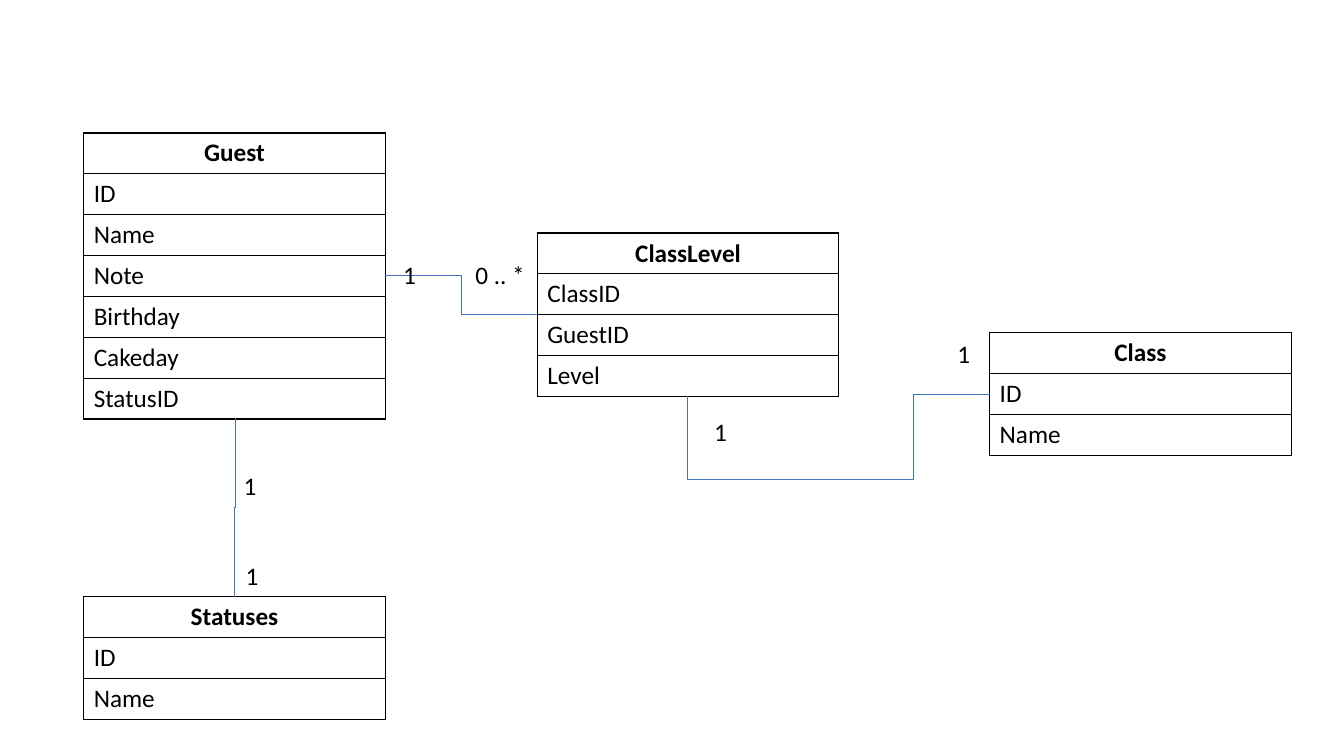
from lxml import etree
from pptx import Presentation
from pptx.dml.color import RGBColor
from pptx.enum.shapes import MSO_CONNECTOR
from pptx.enum.text import PP_ALIGN
from pptx.oxml import parse_xml
from pptx.oxml.ns import nsdecls, qn
from pptx.util import Cm, Pt

ELBOW = MSO_CONNECTOR.ELBOW
CENTER, LEFT = PP_ALIGN.CENTER, PP_ALIGN.LEFT
BLACK, BLUE = "000000", "4472C4"
TABLE_WIDTH, ROW_HEIGHT = 7.6, 1.03
LABEL_WIDTH, LABEL_HEIGHT = 2.26, 1.02

ENTITIES = [
    ("Guest", 2.11, 3.35,
     ["ID", "Name", "Note", "Birthday", "Cakeday", "StatusID"]),
    ("Class", 24.94, 8.38, ["ID", "Name"]),
    ("Statuses", 2.11, 15.04, ["ID", "Name"]),
    ("ClassLevel", 13.54, 5.87, ["ClassID", "GuestID", "Level"]),
]
MULTIPLICITIES = [
    ("1", 5.94, 14.0), ("1", 5.89, 11.73), ("1", 23.88, 8.41),
    ("1", 17.75, 10.36), ("1", 9.91, 6.4), ("0 .. *", 11.73, 6.42),
]


def color(value):
    """Turn a hex string into a colour."""
    return RGBColor.from_string(value)


def write(text_frame, text, bold=False, alignment=LEFT):
    """Write one formatted paragraph into a text frame."""
    paragraph = text_frame.paragraphs[0]
    paragraph.alignment = alignment
    run = paragraph.add_run()
    run.text = text
    for name, value in {"name": "Calibri", "size": Pt(18), "bold": bold}.items():
        setattr(run.font, name, value)
    run.font.color.rgb = color(BLACK)


def add_borders(cell):
    """Draw a thin black line on every side of a cell."""
    properties = cell._tc.get_or_add_tcPr()
    for side in ("lnL", "lnR", "lnT", "lnB"):
        properties.append(parse_xml(
            f'<a:{side} {nsdecls("a")} w="{Pt(1)}"><a:solidFill>'
            f'<a:srgbClr val="{BLACK}"/></a:solidFill></a:{side}>'))


def add_entity(slide, title, left, top, fields):
    """Add a one-column table with a bold title and its fields."""
    texts = [title, *fields]
    table = slide.shapes.add_table(
        len(texts), 1, Cm(left), Cm(top), Cm(TABLE_WIDTH),
        Cm(ROW_HEIGHT * len(texts))).table
    for name in ("first_row", "horz_banding"):
        setattr(table, name, False)
    for index, text in enumerate(texts):
        cell = table.cell(index, 0)
        is_title = index == 0
        write(cell.text_frame, text, is_title, CENTER if is_title else LEFT)
        add_borders(cell)
        cell.fill.background()


def add_relation(slide, start, end):
    """Add a thin blue elbow connector between two points."""
    connector = slide.shapes.add_connector(
        ELBOW, *(Cm(value) for value in (*start, *end)))
    connector.line.color.rgb = color(BLUE)
    connector.line.width = Pt(0.5)
    etree.SubElement(connector._element.spPr, qn("a:effectLst"))
    return connector


def add_vertical_relation(slide, start, end):
    """Add an elbow connector that leaves and arrives vertically."""
    center_x, center_y = ((a + b) / 2 for a, b in zip(start, end))
    half_length, half_shift = (end[1] - start[1]) / 2, (start[0] - end[0]) / 2
    connector = add_relation(
        slide, (center_x - half_length, center_y - half_shift),
        (center_x + half_length, center_y + half_shift))
    connector._element.spPr.find(qn("a:xfrm")).set("rot", str(90 * 60000))


def add_detour_relation(slide, start, end, turn_x, turn_y):
    """Add an elbow connector that arrives from below its end point."""
    connector = add_relation(slide, start, end)
    geometry = connector._element.spPr.find(qn("a:prstGeom"))
    geometry.set("prst", "bentConnector4")
    adjustments = geometry.find(qn("a:avLst"))
    for index, turn in enumerate((turn_x, turn_y)):
        share = (turn - start[index]) / (end[index] - start[index])
        etree.SubElement(adjustments, qn("a:gd"), name=f"adj{index + 1}",
                         fmla=f"val {round(share * 100000)}")


def add_multiplicity(slide, text, left, top):
    """Add a multiplicity label beside a connector."""
    shape = slide.shapes.add_textbox(
        Cm(left), Cm(top), Cm(LABEL_WIDTH), Cm(LABEL_HEIGHT))
    shape.text_frame.word_wrap = True
    write(shape.text_frame, text)


def main():
    """Build the entity diagram and save it."""
    presentation = Presentation()
    presentation.slide_width, presentation.slide_height = Cm(33.87), Cm(19.05)
    slide = presentation.slides.add_slide(presentation.slide_layouts[6])
    for entity in ENTITIES:
        add_entity(slide, *entity)
    add_vertical_relation(slide, (5.94, 10.54), (5.9, 15.04))
    add_detour_relation(slide, (24.94, 9.93), (17.33, 9.99), 23.03, 12.09)
    add_relation(slide, (9.7, 6.93), (13.54, 7.92))
    for multiplicity in MULTIPLICITIES:
        add_multiplicity(slide, *multiplicity)
    presentation.save("out.pptx")


main()
